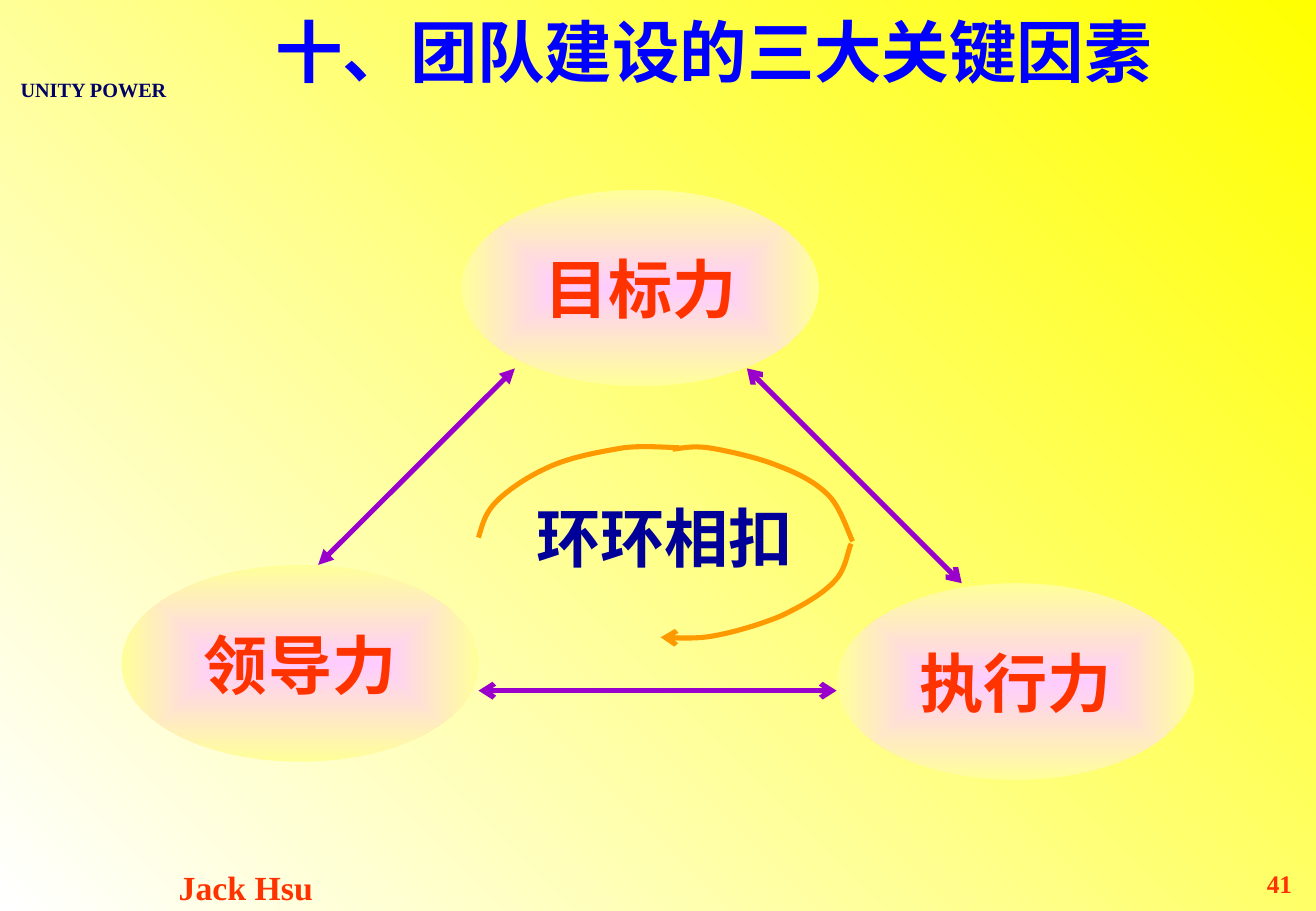
from lxml import etree
from pptx import Presentation
from pptx.dml.color import RGBColor
from pptx.enum.shapes import MSO_CONNECTOR, MSO_SHAPE
from pptx.enum.text import MSO_ANCHOR, PP_ALIGN
from pptx.oxml import parse_xml
from pptx.oxml.ns import nsdecls, qn
from pptx.util import Pt

LINE, OVAL = MSO_CONNECTOR.STRAIGHT, MSO_SHAPE.OVAL
TOP, MID = MSO_ANCHOR.TOP, MSO_ANCHOR.MIDDLE
MIDST, RIGHT = PP_ALIGN.CENTER, PP_ALIGN.RIGHT

FONT = "Times New Roman"
YELLOW = RGBColor(0xFF, 0xFF, 0x00)
WHITE = RGBColor(0xFF, 0xFF, 0xFF)
PINK = RGBColor(0xFF, 0xCC, 0xFF)
CREAM = RGBColor(0xFF, 0xFF, 0x99)
RED = RGBColor(0xFF, 0x33, 0x00)
BLUE = RGBColor(0x00, 0x00, 0xFF)
NAVY = RGBColor(0x00, 0x00, 0x66)
INK = RGBColor(0x00, 0x00, 0x99)
PURPLE = RGBColor(0x99, 0x00, 0xCC)
ORANGE = RGBColor(0xFF, 0x99, 0x00)

WIDTH, HEIGHT = 780.2, 540
OVAL_W, OVAL_H = 212, 116.6

# Place of each force within the diagram
FORCES = [("目标力", 201.6, 0), ("领导力", 0, 222.5), ("执行力", 424.2, 233.3)]

# Start, end and arrowhead of each link within the diagram
LINKS = [
    ((233.3, 106), (116.6, 222.5), "triangle"),
    ((370.8, 106), (498.2, 233.3), "arrow"),
    ((211.7, 297), (424, 297), "arrow"),
]

# Arcs of the ring: a start, then two controls and an end per curve
ARCS = [
    [(0, 54.7),
     (2.2, 47.5), (3.6, 40.3), (10.8, 33.1),
     (18, 25.9), (31, 17.3), (43.2, 12.2),
     (56.2, 6.5), (73.4, 3.6), (86.4, 1.4),
     (98.6, 0), (113, 1.4), (118.8, 1.4)],
    [(115.2, 2.2),
     (118.8, 2.2), (125.3, 0), (136.1, 1.4),
     (146.2, 2.9), (165.6, 7.2), (177.8, 12.2),
     (189.4, 16.6), (199.4, 21.6), (207.4, 29.5),
     (214.6, 36.7), (218.9, 51.1), (221.8, 56.9)],
    [(221, 58.3),
     (218.9, 61.9), (218.2, 73.4), (211, 80.6),
     (204.5, 87.8), (192.2, 95), (180, 100.8),
     (168.5, 105.8), (151.2, 110.9), (139, 113),
     (126.7, 115.2), (114.5, 113.8), (108, 113.8)],
]
STEPS = 10


def blend(fill, first, last):
    fill.gradient()
    for stop, color, place in zip(fill.gradient_stops, (first, last), (0, 1)):
        stop.color.rgb = color
        stop.position = place


def write(shape, text, size, color, align=MIDST, anchor=TOP):
    frame = shape.text_frame
    frame.word_wrap = True
    frame.margin_left = frame.margin_right = 0
    frame.vertical_anchor = anchor
    para = frame.paragraphs[0]
    para.text = text
    para.alignment = align
    font = para.font
    font.name, font.size, font.bold = FONT, Pt(size), True
    font.color.rgb = color


def label(slide, box, *style):
    write(slide.shapes.add_textbox(*map(Pt, box)), *style)


def stroke(line, color, head=None, tail=None):
    line.color.rgb = color
    line.width = Pt(3)
    node = line._get_or_add_ln()
    for tag, kind in (("a:headEnd", head), ("a:tailEnd", tail)):
        if kind:
            etree.SubElement(node, qn(tag)).set("type", kind)


def force(slide, box, text):
    oval = slide.shapes.add_shape(OVAL, *map(Pt, box))
    oval.shadow.inherit = False
    oval.line.fill.background()
    blend(oval.fill, PINK, CREAM)
    # Spread the blend from the centre outwards
    grad = oval._element.spPr.find(qn("a:gradFill"))
    grad.replace(grad.find(qn("a:lin")), parse_xml(
        f'<a:path {nsdecls("a")} path="rect"><a:fillToRect '
        'l="50000" t="50000" r="50000" b="50000"/></a:path>'))
    write(oval, text, 38, RED, MIDST, MID)


def link(slide, left, top, start, end, head):
    ends = [left + start[0], top + start[1], left + end[0], top + end[1]]
    line = slide.shapes.add_connector(LINE, *map(Pt, ends))
    stroke(line.line, PURPLE, head, head)
    etree.SubElement(line._element.spPr, qn("a:effectLst"))


def trace(arc):
    """Points along the cubic curves of an arc."""
    dots = [arc[0]]
    for i in range(0, len(arc) - 1, 3):
        for step in range(1, STEPS + 1):
            t = step / STEPS
            parts = ((1 - t) ** 3, 3 * t * (1 - t) ** 2,
                     3 * t ** 2 * (1 - t), t ** 3)
            dots.append(tuple(sum(p * dot[k] for p, dot in zip(parts, arc[i:i + 4]))
                              for k in (0, 1)))
    return dots


def ring(slide, box):
    left, top, width, height = box
    for arc in ARCS:
        dots = [(Pt(left + x), Pt(top + y)) for x, y in trace(arc)]
        draft = slide.shapes.build_freeform(*dots[0], scale=1.0)
        draft.add_line_segments(dots[1:], close=False)
        curve = draft.convert_to_shape()
        curve.shadow.inherit = False
        curve.fill.background()
        stroke(curve.line, ORANGE, tail="arrow" if arc is ARCS[-1] else None)
    label(slide, (left + 22, top + 27.8, 177, 53), "环环相扣", 38, INK)


def header(slide, box):
    left, top, width, height = box
    label(slide, (left + 91.5, top, 663, 60),
          "十、团队建设的三大关键因素", 40, BLUE, MIDST, MID)
    label(slide, (left + 4, top + 42.5, 103, 22), "UNITY POWER", 12, NAVY)


def diagram(slide, box):
    left, top, width, height = box
    for text, x, y in FORCES:
        force(slide, (left + x, top + y, OVAL_W, OVAL_H), text)
    for start, end, head in LINKS:
        link(slide, left, top, start, end, head)
    ring(slide, (left + 211.7, top + 151.6, 222, 114))


def footer(slide, box):
    left, top, width, height = box
    label(slide, (left + 72, top, 147.5, height), "Jack Hsu", 20, RED)
    label(slide, (left + width - 104.2, top + 1, 90, height - 1),
          "41", 15, RED, RIGHT)


def main():
    deck = Presentation()
    deck.slide_width, deck.slide_height = Pt(WIDTH), Pt(HEIGHT)
    slide = deck.slides.add_slide(deck.slide_layouts[6])
    back = slide.background.fill
    blend(back, YELLOW, WHITE)
    back.gradient_angle = 225
    header(slide, (0, 0, WIDTH, 65))
    diagram(slide, (72, 112.4, 636, 350))
    footer(slide, (0, 510, WIDTH, 30))
    deck.save("out.pptx")


if __name__ == "__main__":
    main()
